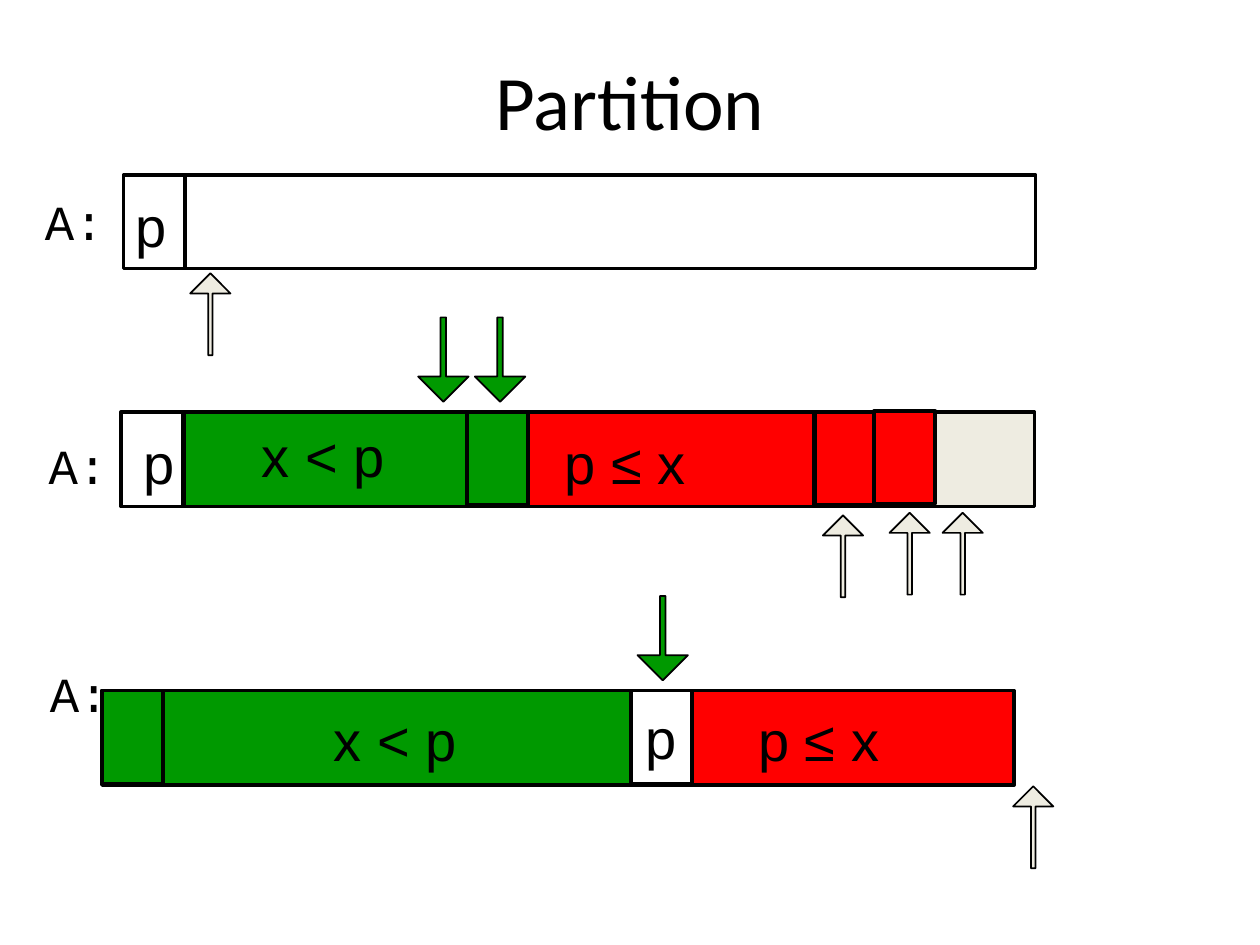
"""Build the slide showing three stages of the partition step."""
from dataclasses import dataclass
from typing import Optional

import pptx
import pptx.dml.color
import pptx.enum.shapes
import pptx.enum.text
import pptx.oxml.ns
import pptx.slide
import pptx.text.text
import pptx.util
from lxml import etree

Pt = pptx.util.Pt
SHAPE = pptx.enum.shapes.MSO_SHAPE
ALIGN = pptx.enum.text.PP_ALIGN
ANCHOR = pptx.enum.text.MSO_ANCHOR

COLORS = {
    "ink": "000000",
    "paper": "FFFFFF",
    "less": "009900",
    "greater": "FF0000",
    "unseen": "EEECE1",
}
ARRAY_WIDTH = 521.3
START_TOP, SCAN_TOP, DONE_TOP = 100.1, 235.4, 394.6
ROW_HEIGHT = 54
ITEM_WIDTH, ITEM_HEIGHT = 34.6, 53.3


@dataclass(frozen=True)
class Cell:
    left: float
    top: float
    width: float
    height: float = ROW_HEIGHT
    fill: Optional[str] = None
    line: str = "ink"
    weight: float = 2
    text: str = ""


@dataclass(frozen=True)
class Label:
    text: str
    left: float
    top: float
    width: float
    height: float = 45.4
    size: float = 32
    font: str = "Arial"
    align: ALIGN = ALIGN.LEFT
    anchor: ANCHOR = ANCHOR.TOP


@dataclass(frozen=True)
class Pointer:
    left: float
    top: float
    up: bool


def item(left: float, top: float, fill: str, text: str = "") -> Cell:
    return Cell(left, top, ITEM_WIDTH, ITEM_HEIGHT, fill, weight=2.25, text=text)


def array_name(left: float, top: float) -> Label:
    return Label("A:", left, top, 49.7, 41, 28, "Courier New", ALIGN.RIGHT)


CELLS = [
    Cell(70.6, START_TOP, ARRAY_WIDTH, ITEM_HEIGHT),
    Cell(389.5, DONE_TOP, 190.1, fill="greater", line="paper", weight=1),
    Cell(92.9, DONE_TOP, 302.4, fill="less"),
    Cell(58.3, DONE_TOP, ARRAY_WIDTH),
    Cell(267.8, SCAN_TOP, 198, fill="greater", weight=1),
    Cell(69.1, SCAN_TOP, ARRAY_WIDTH),
    Cell(465.1, SCAN_TOP, 126, fill="unseen"),
    Cell(105.1, SCAN_TOP, 162, fill="less"),
    item(465.8, SCAN_TOP, "greater"),
    item(499.7, 234.7, "greater"),
    item(267.1, SCAN_TOP, "less"),
    item(360.7, DONE_TOP, "paper", "p"),
    item(58.3, DONE_TOP, "less"),
]
PIVOT_DIVIDERS = [(105.8, 99.4), (104.4, 234.7)]
LABELS = [
    Label("Partition", 54, 12.2, 612, 90, 44, "Calibri", ALIGN.CENTER, ANCHOR.MIDDLE),
    Label("p", 70.6, 105.8, 36),
    Label("p", 74.9, 241.2, 36),
    Label("x < p", 142.6, 237.6, 95.8),
    Label("p ≤ x", 315.4, 241.2, 114.5),
    Label("x < p", 183.6, 399.6, 95.8),
    Label("p ≤ x", 426.2, 399.6, 114.5),
    array_name(16.6, 105.8),
    array_name(18.7, 245.5),
    array_name(19.4, 375.8),
]
POINTERS = [
    Pointer(108.7, 156.2, True),
    Pointer(239, 181.4, False),
    Pointer(271.4, 181.4, False),
    Pointer(470.2, 294.5, True),
    Pointer(508.3, 293, True),
    Pointer(538.6, 293, True),
    Pointer(364.3, 340.6, False),
    Pointer(578.9, 449.3, True),
]


def color(name: str) -> pptx.dml.color.RGBColor:
    return pptx.dml.color.RGBColor.from_string(COLORS[name])


def write(frame: pptx.text.text.TextFrame, text: str, size: float, font: str,
          align: ALIGN, anchor: ANCHOR) -> None:
    frame.word_wrap = True
    frame.vertical_anchor = anchor
    paragraph = frame.paragraphs[0]
    paragraph.text = text
    paragraph.alignment = align
    paragraph.font.size = Pt(size)
    paragraph.font.name = font
    paragraph.font.color.rgb = color("ink")


def draw_cell(slide: pptx.slide.Slide, cell: Cell) -> None:
    block = slide.shapes.add_shape(
        SHAPE.RECTANGLE, Pt(cell.left), Pt(cell.top), Pt(cell.width), Pt(cell.height))
    block.shadow.inherit = False
    if cell.fill:
        block.fill.solid()
        block.fill.fore_color.rgb = color(cell.fill)
    else:
        block.fill.background()
    block.line.color.rgb = color(cell.line)
    block.line.width = Pt(cell.weight)
    if cell.text:
        write(block.text_frame, cell.text, 32, "Arial", ALIGN.CENTER, ANCHOR.MIDDLE)


def draw_divider(slide: pptx.slide.Slide, left: float, top: float) -> None:
    divider = slide.shapes.add_connector(
        pptx.enum.shapes.MSO_CONNECTOR.STRAIGHT,
        Pt(left), Pt(top), Pt(left), Pt(top + ROW_HEIGHT))
    divider.line.color.rgb = color("ink")
    divider.line.width = Pt(2)
    etree.SubElement(divider.element.spPr, pptx.oxml.ns.qn("a:effectLst"))


def draw_label(slide: pptx.slide.Slide, label: Label) -> None:
    box = slide.shapes.add_textbox(
        Pt(label.left), Pt(label.top), Pt(label.width), Pt(label.height))
    write(box.text_frame, label.text, label.size, label.font, label.align, label.anchor)


def draw_pointer(slide: pptx.slide.Slide, pointer: Pointer) -> None:
    width, height = (23, 46.8) if pointer.up else (28.8, 48.2)
    arrow = slide.shapes.add_shape(
        SHAPE.DOWN_ARROW, Pt(pointer.left), Pt(pointer.top), Pt(width), Pt(height))
    arrow.rotation = 180 if pointer.up else 0
    arrow.adjustments[0] = 0.11
    arrow.adjustments[1] = 0.5
    arrow.shadow.inherit = False
    arrow.fill.solid()
    arrow.fill.fore_color.rgb = color("unseen" if pointer.up else "less")
    arrow.line.color.rgb = color("ink")
    arrow.line.width = Pt(1)


def main() -> None:
    deck = pptx.Presentation()
    deck.slide_width, deck.slide_height = Pt(720), Pt(540)
    slide = deck.slides.add_slide(deck.slide_layouts[6])
    for cell in CELLS:
        draw_cell(slide, cell)
    for left, top in PIVOT_DIVIDERS:
        draw_divider(slide, left, top)
    for label in LABELS:
        draw_label(slide, label)
    for pointer in POINTERS:
        draw_pointer(slide, pointer)
    deck.save("out.pptx")


if __name__ == "__main__":
    main()
